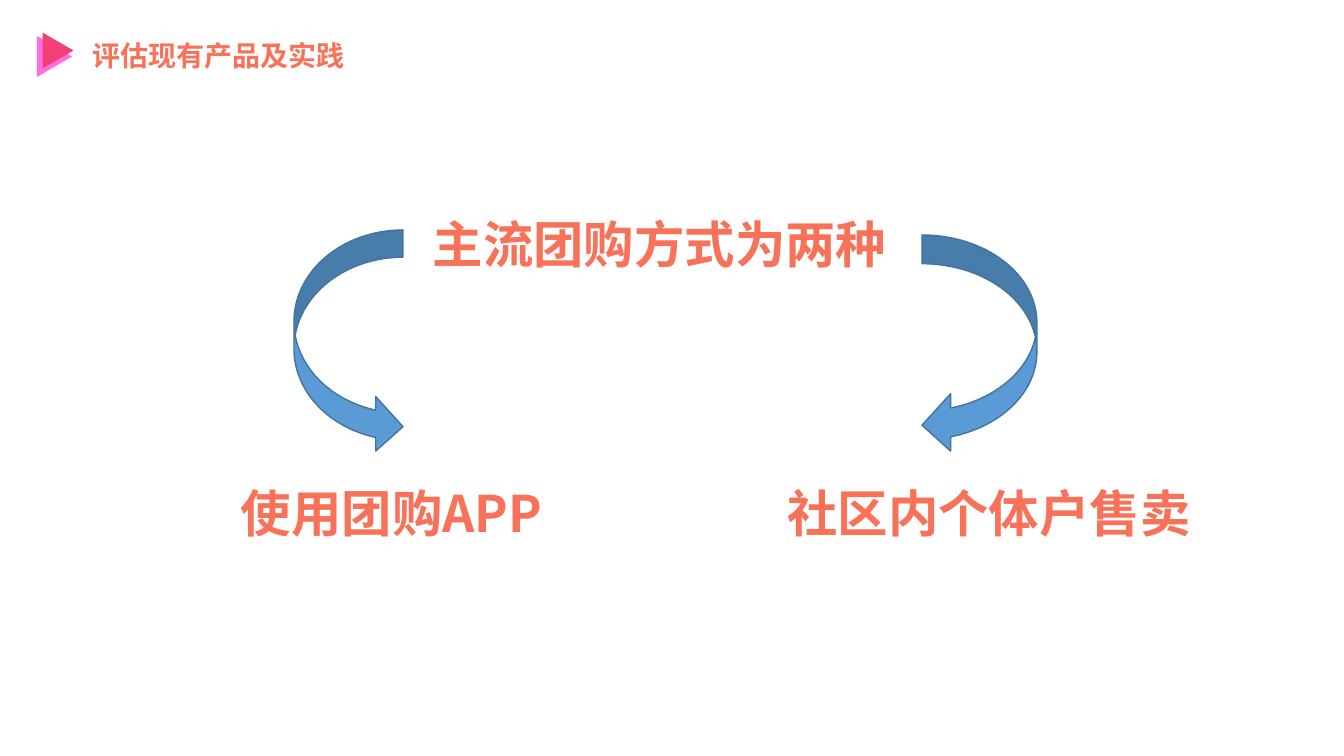
from pptx import Presentation
from pptx.dml.color import RGBColor
from pptx.enum.shapes import MSO_SHAPE as SHAPE
from pptx.enum.text import MSO_ANCHOR as ANCHOR, MSO_AUTO_SIZE as AUTO, PP_ALIGN as ALIGN
from pptx.oxml.ns import qn
from pptx.util import Emu, Pt

WIDTH, HEIGHT = 1344, 756
EMU_PER_PX = 12192000 / WIDTH
CORAL = RGBColor(0xF7, 0x72, 0x58)
PINK = RGBColor(0xFF, 0x6C, 0xE4)
CRIMSON = RGBColor(0xF0, 0x40, 0x77)
BLUE = RGBColor(0x5B, 0x9B, 0xD5)
DARK_BLUE = RGBColor(0x43, 0x73, 0x9E)


def px(n):
    return Emu(round(n * EMU_PER_PX))


class Deck:
    font = "Noto Sans CJK SC"

    def __init__(self):
        self.prs = Presentation()
        self.prs.slide_width, self.prs.slide_height = px(WIDTH), px(HEIGHT)
        self.s = self.prs.slides.add_slide(self.prs.slide_layouts[5])

    def set_text(self, sp, text, size, align, spacing):
        tf = sp.text_frame
        frame = dict(word_wrap=True, auto_size=AUTO.SHAPE_TO_FIT_TEXT, vertical_anchor=ANCHOR.TOP)
        for name, value in frame.items():
            setattr(tf, name, value)
        p = tf.paragraphs[0]
        p.alignment, p.line_spacing = align, spacing
        r = p.add_run()
        r.text = text
        for name, value in dict(size=Pt(size), bold=True, name=self.font).items():
            setattr(r.font, name, value)
        r.font.color.rgb = CORAL
        # East Asian glyphs take their typeface from a:ea
        latin = r.font._element.find(qn("a:latin"))
        ea = latin.makeelement(qn("a:ea"), {"typeface": self.font})
        latin.addnext(ea)

    def title(self, text, x, y, w, h):
        sp = self.s.shapes.title
        for name, value in dict(left=x, top=y, width=w, height=h).items():
            setattr(sp, name, px(value))
        self.set_text(sp, text, 20, ALIGN.LEFT, 1.0)

    def label(self, text, x, y, w, h):
        sp = self.s.shapes.add_textbox(*map(px, (x, y, w, h)))
        self.set_text(sp, text, 36, ALIGN.CENTER, 1.2)

    def shape(self, kind, box, fill, line=None, rotation=0):
        sp = self.s.shapes.add_shape(kind, *map(px, box))
        sp.shadow.inherit = False
        sp.rotation = rotation
        sp.fill.solid()
        sp.fill.fore_color.rgb = fill
        if line is None:
            sp.line.fill.background()
        else:
            sp.line.color.rgb = line
            sp.line.width = Pt(1)


def main():
    deck = Deck()
    deck.title("评估现有产品及实践", 82, 33, 303, 44)

    for box, fill in (((34, 39, 41, 35), PINK), ((40, 35, 36, 31), CRIMSON)):
        deck.shape(SHAPE.ISOSCELES_TRIANGLE, box, fill, rotation=90)

    deck.label("主流团购方式为两种", 266, 196, 787, 84)
    deck.label("使用团购APP", 218, 465, 347, 84)
    deck.label("社区内个体户售卖", 768, 465, 442, 84)

    deck.shape(SHAPE.CURVED_RIGHT_ARROW, (294, 230, 109, 224), BLUE, DARK_BLUE)
    deck.shape(SHAPE.CURVED_LEFT_ARROW, (922, 235, 115, 219), BLUE, DARK_BLUE)
    deck.prs.save("out.pptx")


if __name__ == "__main__":
    main()
